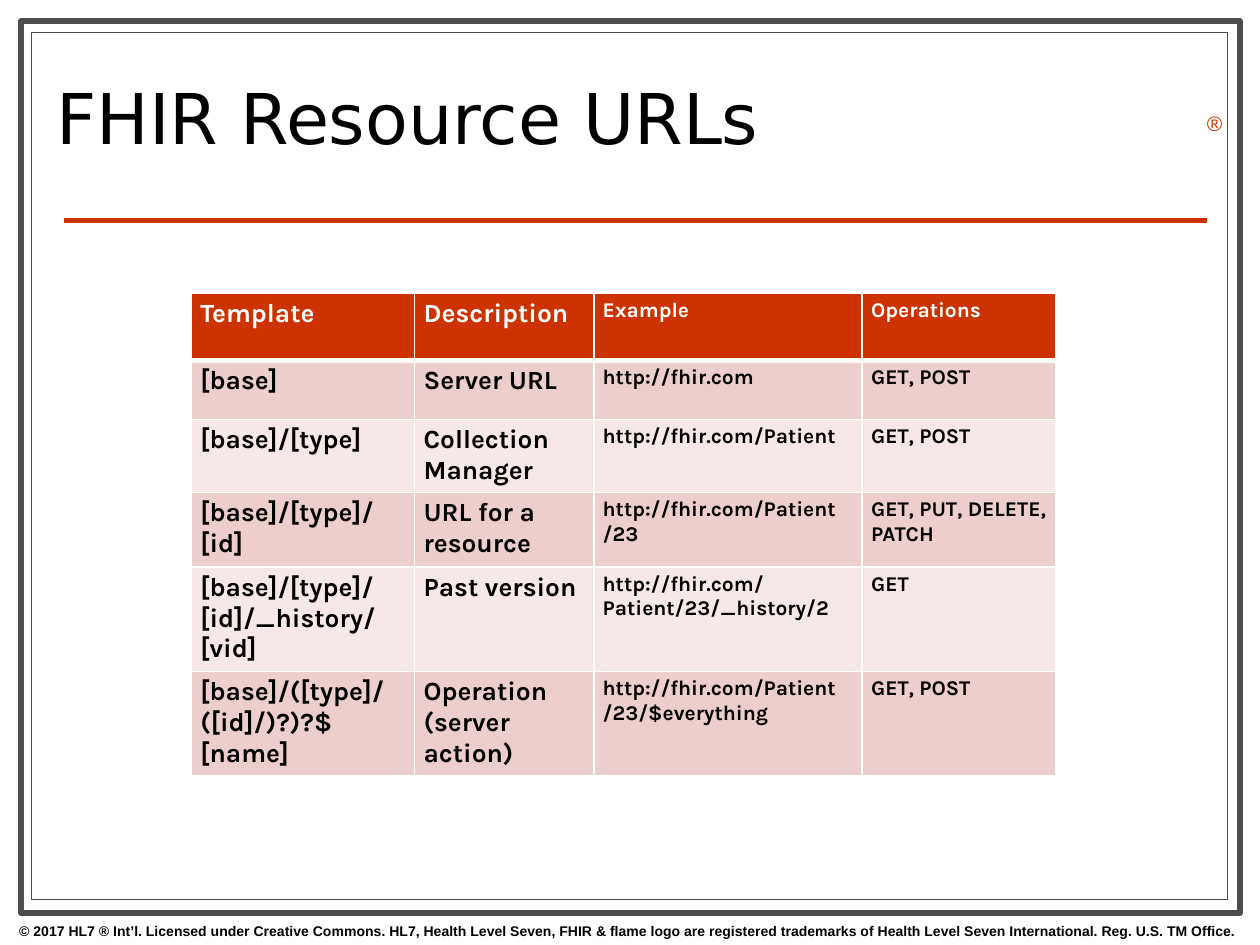
from lxml import etree
from pptx import Presentation
from pptx.dml.color import RGBColor
from pptx.enum.shapes import MSO_CONNECTOR, MSO_SHAPE
from pptx.enum.text import MSO_ANCHOR, MSO_AUTO_SIZE, PP_ALIGN
from pptx.oxml import parse_xml
from pptx.oxml.ns import nsdecls, qn
from pptx.util import Cm, Pt

RECTANGLE, STRAIGHT = MSO_SHAPE.RECTANGLE, MSO_CONNECTOR.STRAIGHT
TOP, MIDDLE = MSO_ANCHOR.TOP, MSO_ANCHOR.MIDDLE
LEFT, CENTER = PP_ALIGN.LEFT, PP_ALIGN.CENTER
NO_FIT, GROW = MSO_AUTO_SIZE.NONE, MSO_AUTO_SIZE.SHAPE_TO_FIT_TEXT

BLACK, WHITE, GREY, RED = "000000", "FFFFFF", "4D4D4D", "CC3300"
BAND_FILLS = ["ECCECC", "F6E8E7"]

# left, top, width, height in cm; line width in points
FRAMES = [((0.43, 0.43, 24.56, 17.98), 3.5), ((0.64, 0.66, 24.1, 17.48), 0.75)]
RULE_LEFT, RULE_RIGHT, RULE_TOP = 1.3, 24.33, 4.45

TEXTS = [
    {
        "text": "© 2017 HL7 ® Int’l. Licensed under Creative Commons. HL7, Health Level Seven, "
                "FHIR & flame logo are registered trademarks of Health Level Seven International. "
                "Reg. U.S. TM Office.",
        "box": (-0.03, 18.47, 25.4, 0.58),
        "font": {"name": "Arial", "size": Pt(8), "bold": True},
        "color": BLACK,
        "paragraph": {"alignment": CENTER},
        "frame": {"auto_size": GROW, "vertical_anchor": TOP},
    },
    {
        "text": "®",
        "box": (24.08, 2.11, 0.79, 0.76),
        "font": {"name": "Arial", "size": Pt(12)},
        "color": RED,
        "paragraph": {"alignment": LEFT},
        "frame": {"auto_size": GROW, "vertical_anchor": TOP},
    },
    {
        "text": "FHIR Resource URLs",
        "box": (0.89, 0.91, 18.21, 3.2),
        "font": {"name": "DejaVu Sans", "size": Pt(40)},
        "color": BLACK,
        "paragraph": {"alignment": LEFT, "line_spacing": 0.8},
        "frame": {"auto_size": NO_FIT, "vertical_anchor": MIDDLE},
    },
]

# "\n" starts a paragraph, "\v" breaks a line
URL_ROWS = [
    ("Template", "Description", "Example", "Operations"),
    ("[base]", "Server URL", "http://fhir.com", "GET, POST"),
    ("[base]/[type]", "Collection Manager", "http://fhir.com/Patient", "GET, POST"),
    ("[base]/[type]/[id]", "URL for a resource", "http://fhir.com/Patient\n/23",
     "GET, PUT, DELETE, PATCH"),
    ("[base]/[type]/[id]/_history/[vid]", "Past version",
     "http://fhir.com/Patient/23/_history/2", "GET"),
    ("[base]/([type]/([id]/)?)?$[name]", "Operation (server action)",
     "http://fhir.com/Patient\v/23/$everything", "GET, POST"),
]
TABLE_LEFT, TABLE_TOP = 3.86, 5.92
COLUMN_WIDTHS = [4.5, 3.61, 5.41, 3.91]
COLUMN_SIZES = [15, 15, 12, 12]
ROW_HEIGHTS = [1.35, 1.19, 1.47, 1.5, 1.5, 1.5]
CELL_MARGINS = {"margin_left": Cm(0.18), "margin_right": Cm(0.18),
                "margin_top": Cm(0.1), "margin_bottom": Cm(0.1)}


def rgb(value):
    return RGBColor.from_string(value)


def set_all(target, values):
    for name, value in values.items():
        setattr(target, name, value)


def format_runs(text_frame, font, color):
    for paragraph in text_frame.paragraphs:
        for run in paragraph.runs:
            set_all(run.font, font)
            run.font.color.rgb = rgb(color)


def add_frame(slide, box, line_width):
    shape = slide.shapes.add_shape(RECTANGLE, *map(Cm, box))
    shape.shadow.inherit = False
    shape.fill.solid()
    shape.fill.fore_color.rgb = rgb(WHITE)
    shape.line.color.rgb = rgb(GREY)
    shape.line.width = Pt(line_width)


def add_rule(slide):
    rule = slide.shapes.add_connector(
        STRAIGHT, Cm(RULE_LEFT), Cm(RULE_TOP), Cm(RULE_RIGHT), Cm(RULE_TOP))
    rule.line.color.rgb = rgb(RED)
    rule.line.width = Pt(3)
    etree.SubElement(rule._element.spPr, qn("a:effectLst"))


def add_text(slide, item):
    text_frame = slide.shapes.add_textbox(*map(Cm, item["box"])).text_frame
    text_frame.word_wrap = True
    set_all(text_frame, item["frame"])
    text_frame.text = item["text"]
    set_all(text_frame.paragraphs[0], item["paragraph"])
    format_runs(text_frame, item["font"], item["color"])


def set_borders(cell, bottom_width):
    """Draw white borders, 1 point wide except at the bottom."""
    properties = cell._tc.get_or_add_tcPr()
    widths = {"lnL": 1, "lnR": 1, "lnT": 1, "lnB": bottom_width}
    for position, (tag, width) in enumerate(widths.items()):
        properties.insert(position, parse_xml(
            f'<a:{tag} {nsdecls("a")} w="{Pt(width)}"><a:solidFill>'
            f'<a:srgbClr val="{WHITE}"/></a:solidFill></a:{tag}>'))


def add_url_table(slide):
    table = slide.shapes.add_table(
        len(URL_ROWS), len(COLUMN_WIDTHS), Cm(TABLE_LEFT), Cm(TABLE_TOP),
        Cm(sum(COLUMN_WIDTHS)), Cm(sum(ROW_HEIGHTS))).table
    for column, width in zip(table.columns, COLUMN_WIDTHS):
        column.width = Cm(width)
    for row_index, (row, height, texts) in enumerate(zip(table.rows, ROW_HEIGHTS, URL_ROWS)):
        row.height = Cm(height)
        is_header = row_index == 0
        fill = RED if is_header else BAND_FILLS[(row_index - 1) % 2]
        for cell, text, size in zip(row.cells, texts, COLUMN_SIZES):
            set_all(cell, CELL_MARGINS)
            cell.text = text
            format_runs(cell.text_frame, {"name": "Karla", "size": Pt(size), "bold": True},
                        WHITE if is_header else BLACK)
            cell.fill.solid()
            cell.fill.fore_color.rgb = rgb(fill)
            set_borders(cell, 3 if is_header else 1)


def main():
    presentation = Presentation()
    presentation.slide_width, presentation.slide_height = Cm(25.4), Cm(19.05)
    slide = presentation.slides.add_slide(presentation.slide_layouts[6])
    for box, line_width in FRAMES:
        add_frame(slide, box, line_width)
    add_rule(slide)
    for item in TEXTS:
        add_text(slide, item)
    add_url_table(slide)
    presentation.save("out.pptx")


if __name__ == "__main__":
    main()
